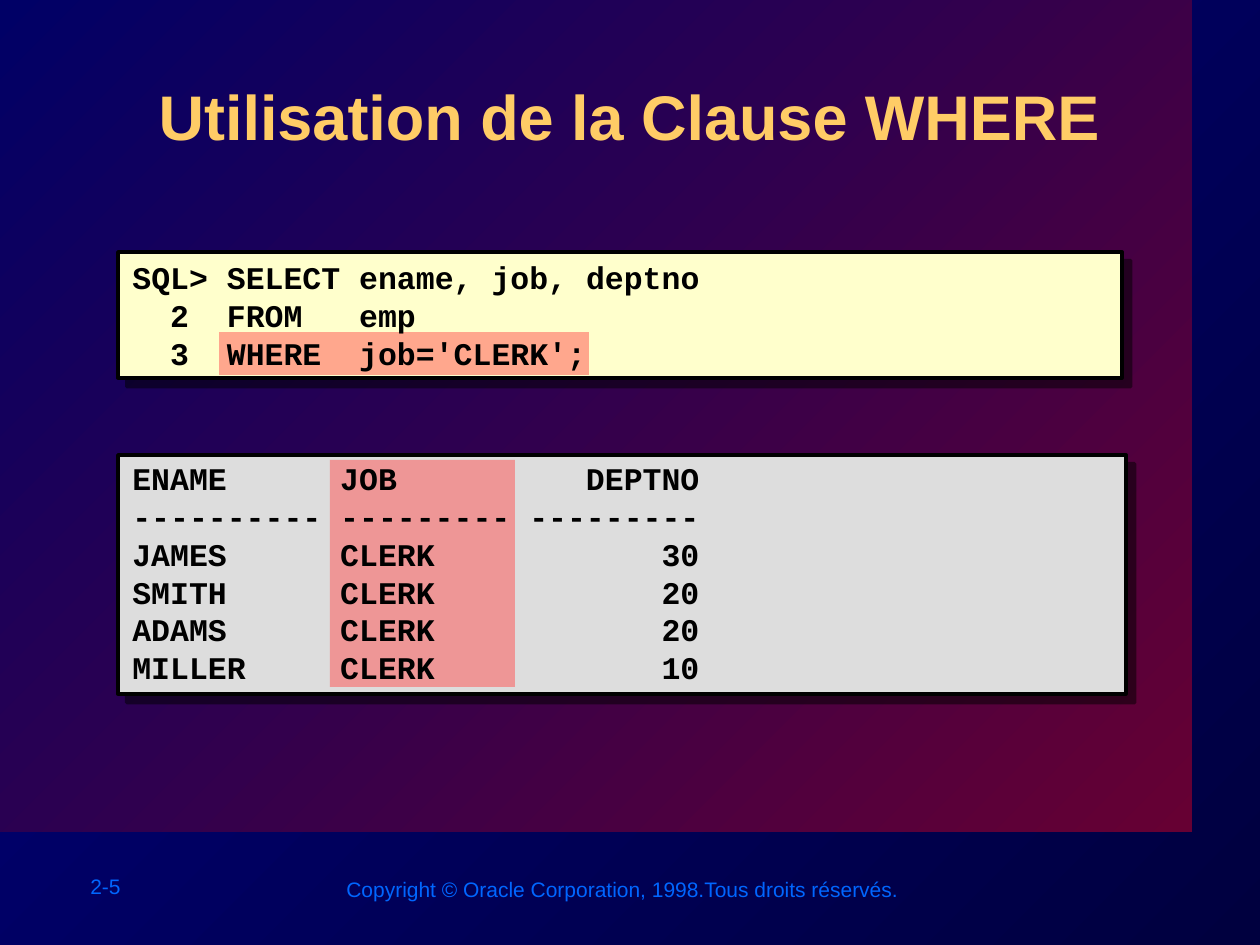
from pptx import Presentation
from pptx.dml.color import RGBColor
from pptx.enum.shapes import MSO_SHAPE
from pptx.enum.text import MSO_ANCHOR, PP_ALIGN
from pptx.oxml.ns import qn
from pptx.util import Emu, Pt
from lxml import etree

PX = 914400 / 126
RECTANGLE = MSO_SHAPE.RECTANGLE
TOP, MIDDLE = MSO_ANCHOR.TOP, MSO_ANCHOR.MIDDLE
LEFT, CENTER = PP_ALIGN.LEFT, PP_ALIGN.CENTER

BLACK = RGBColor(0x00, 0x00, 0x00)
NAVY = RGBColor(0x00, 0x00, 0x3F)
BLUE = RGBColor(0x00, 0x00, 0x80)
PANEL_BLUE = RGBColor(0x00, 0x00, 0x66)
PANEL_RED = RGBColor(0x66, 0x00, 0x33)
FOOTER_BLUE = RGBColor(0x00, 0x66, 0xFF)
GOLD = RGBColor(0xFF, 0xCC, 0x66)
CREAM = RGBColor(0xFF, 0xFF, 0xCC)
GRAY = RGBColor(0xDD, 0xDD, 0xDD)
HIGHLIGHT = RGBColor(0xFF, 0x50, 0x50)

QUERY = [
    "SQL> SELECT ename, job, deptno",
    "  2  FROM   emp",
    "  3  WHERE  job='CLERK';",
]
RESULT = [
    "ENAME      JOB          DEPTNO",
    "---------- --------- ---------",
    "JAMES      CLERK            30",
    "SMITH      CLERK            20",
    "ADAMS      CLERK            20",
    "MILLER     CLERK            10",
]


def box_emu(box):
    return [Emu(round(length * PX)) for length in box]


def paint_gradient(fill, start, end):
    fill.gradient()
    fill.gradient_angle = 135
    for stop, color in zip(fill.gradient_stops, (start, end)):
        stop.color.rgb = color


def add_shadow(properties, distance, alpha):
    for old in properties.findall(qn("a:effectLst")):
        properties.remove(old)
    effects = etree.Element(qn("a:effectLst"))
    shadow = etree.SubElement(effects, qn("a:outerShdw"), blurRad="0",
                              dist=str(Pt(distance)), dir="2700000", algn="ctr", rotWithShape="0")
    color = etree.SubElement(shadow, qn("a:srgbClr"), val=str(BLACK))
    etree.SubElement(color, qn("a:alpha"), val=str(alpha * 1000))
    fill = properties.find(qn("a:solidFill"))
    line = properties.find(qn("a:ln"))
    (fill if line is None else line).addnext(effects)


def add_rectangle(slide, box):
    shape = slide.shapes.add_shape(RECTANGLE, *box_emu(box))
    shape.shadow.inherit = False
    shape.line.fill.background()
    return shape


def add_highlight(slide, box):
    shape = add_rectangle(slide, box)
    shape.fill.solid()
    shape.fill.fore_color.rgb = HIGHLIGHT
    color = shape.fill._xPr.find(qn("a:solidFill")).find(qn("a:srgbClr"))
    etree.SubElement(color, qn("a:alpha"), val="50000")


def write_lines(frame, lines, font, size, color, bold=False, align=LEFT):
    for index, line in enumerate(lines):
        paragraph = frame.paragraphs[0] if index == 0 else frame.add_paragraph()
        paragraph.alignment = align
        run = paragraph.add_run()
        run.text = line
        run.font.name = font
        run.font.size = Pt(size)
        run.font.bold = bold
        run.font.color.rgb = color


def add_text(slide, box, lines, font, size, color, bold=False, anchor=TOP, wrap=False):
    frame = slide.shapes.add_textbox(*box_emu(box)).text_frame
    frame.word_wrap = wrap
    frame.vertical_anchor = anchor
    write_lines(frame, lines, font, size, color, bold)


def add_title(slide, box, text):
    title = slide.shapes.title
    title.left, title.top, title.width, title.height = box_emu(box)
    frame = title.text_frame
    frame.word_wrap = True
    frame.vertical_anchor = TOP
    write_lines(frame, [text], "Arial", 36, GOLD, True, CENTER)
    add_shadow(frame.paragraphs[0].runs[0].font._element, 3, 100)


def add_code_panel(slide, box, color, highlight, lines, anchor, text_shift):
    left, top, width, height = box
    panel = add_rectangle(slide, box)
    panel.fill.solid()
    panel.fill.fore_color.rgb = color
    panel.line.color.rgb = BLACK
    panel.line.width = Pt(2)
    add_shadow(panel._element.spPr, 7.1, 50)
    x, y, highlight_width, highlight_height = highlight
    add_highlight(slide, (left + x, top + y, highlight_width, highlight_height))
    add_text(slide, (left + 2, top + text_shift, width, height), lines, "Courier New", 18,
             BLACK, True, anchor, True)


def add_backdrop(slide, box):
    paint_gradient(slide.background.fill, NAVY, BLUE)
    panel = add_rectangle(slide, box)
    paint_gradient(panel.fill, PANEL_RED, PANEL_BLUE)
    slide.shapes.title._element.addprevious(panel._element)


def add_footer(slide, box):
    left, top, width, height = box
    add_text(slide, (left, top, 140, height), ["2-5"], "Arial", 12, FOOTER_BLUE)
    add_text(slide, (left + 256, top + 3, width - 256, height),
             ["Copyright © Oracle Corporation, 1998.Tous droits réservés."],
             "Arial", 12, FOOTER_BLUE)


def main():
    presentation = Presentation()
    presentation.slide_width, presentation.slide_height = box_emu((1260, 945))
    slide = presentation.slides.add_slide(presentation.slide_layouts[5])
    add_backdrop(slide, (0, 0, 1192, 832))
    add_footer(slide, (78, 867, 837, 38))
    add_title(slide, (127, 71, 1005, 121), "Utilisation de la Clause WHERE")
    add_code_panel(slide, (118, 252, 1004, 126), CREAM, (101, 80, 370, 43), QUERY, MIDDLE, 0)
    add_code_panel(slide, (118, 455, 1008, 239), GRAY, (212, 5, 185, 227), RESULT, TOP, -2)
    presentation.save("out.pptx")


if __name__ == "__main__":
    main()
